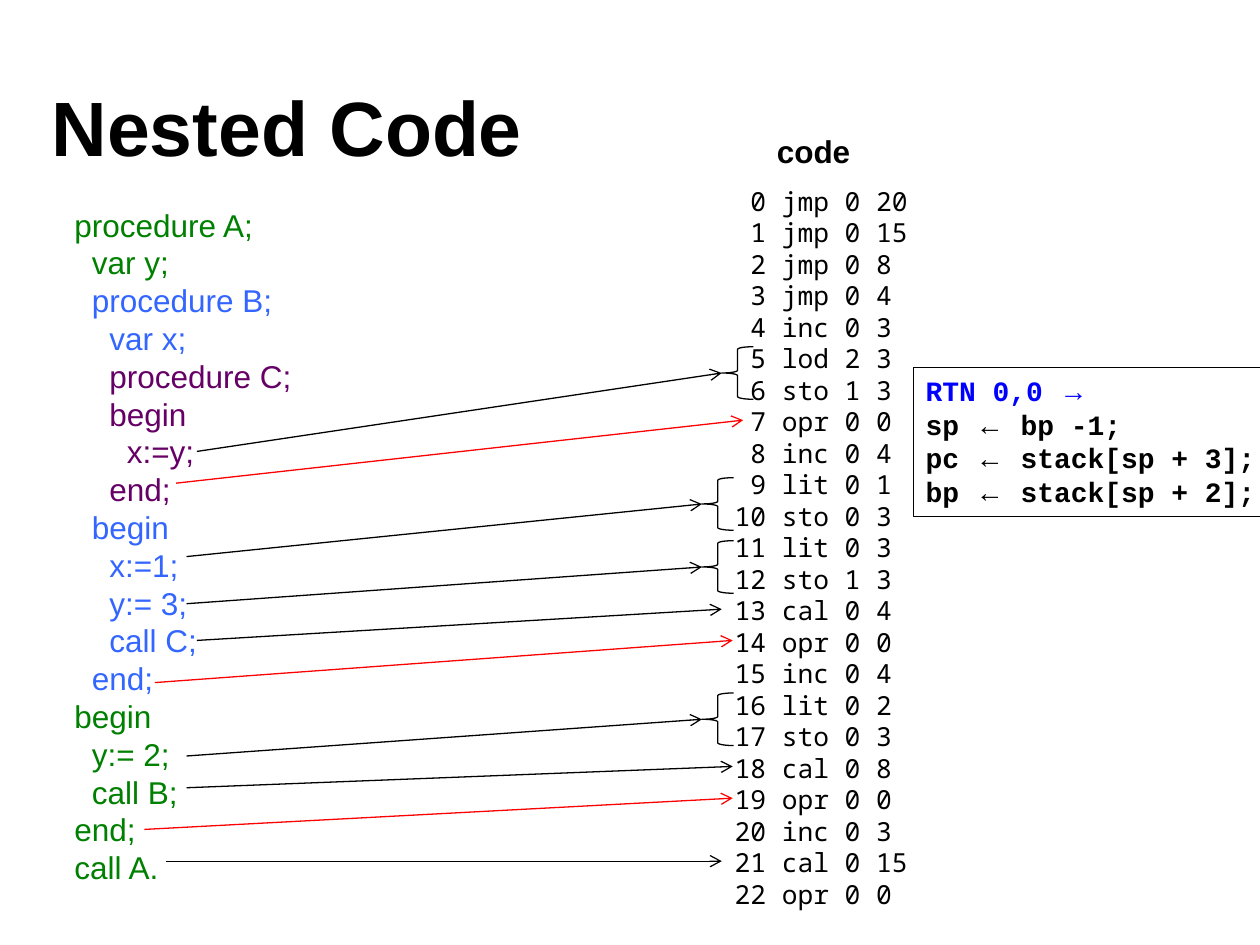
from dataclasses import dataclass
from typing import Optional

from lxml.etree import SubElement
from pptx import Presentation
from pptx.dml.color import RGBColor
from pptx.enum.shapes import MSO_CONNECTOR, MSO_SHAPE
from pptx.enum.text import MSO_ANCHOR, PP_ALIGN
from pptx.oxml.ns import qn
from pptx.util import Cm, Pt

BLACK, RED, BLUE = "000000", "FF0000", "0000FF"
OUTER, MIDDLE, INNER = "008000", "3366FF", "660066"
SANS, MONO, COURIER = "Arial", "Noto Sans Mono", "Courier New"
LINE_WIDTH = Pt(0.75)
LEADING = 1.2
INDENT = Pt(10)
BRACE_WIDTH, BRACE_HEIGHT = 0.64, 1.06


@dataclass
class Run:
    text: str
    color: str = BLACK
    font: Optional[str] = None


@dataclass
class Line:
    runs: list[Run]
    level: int = 0


@dataclass
class Link:
    """Arrow from a source statement to its instructions, in cm."""
    start: tuple[float, float]
    end: tuple[float, float]
    color: str = BLACK
    braced: bool = False


def rgb(value: str) -> RGBColor:
    return RGBColor.from_string(value)


def write(shape, lines: list[Line], *, size: float, font: str = SANS,
          bold: bool = False) -> None:
    frame = shape.text_frame
    frame.word_wrap = True
    frame.vertical_anchor = MSO_ANCHOR.TOP
    for number, line in enumerate(lines):
        paragraph = frame.add_paragraph() if number else frame.paragraphs[0]
        paragraph.alignment = PP_ALIGN.LEFT
        paragraph.line_spacing = Pt(size * LEADING)
        if line.level:
            paragraph._p.get_or_add_pPr().set("marL", str(line.level * INDENT))
        for part in line.runs:
            run = paragraph.add_run()
            run.text = part.text
            run.font.name = part.font or font
            run.font.size = Pt(size)
            run.font.bold = bold
            run.font.color.rgb = rgb(part.color)


def add_text(shapes, box: tuple[float, float, float, float],
             lines: list[Line], **style) -> None:
    write(shapes.add_textbox(*map(Cm, box)), lines, **style)


def add_outline(shapes, kind: MSO_SHAPE, box: tuple[float, float, float, float]):
    shape = shapes.add_shape(kind, *map(Cm, box))
    shape.shadow.inherit = False
    shape.fill.background()
    shape.line.color.rgb = rgb(BLACK)
    shape.line.width = LINE_WIDTH
    return shape


def add_link(shapes, link: Link) -> None:
    arrow = shapes.add_connector(MSO_CONNECTOR.STRAIGHT,
                                 *map(Cm, link.start + link.end))
    arrow.line.color.rgb = rgb(link.color)
    arrow.line.width = LINE_WIDTH
    SubElement(arrow.line._get_or_add_ln(), qn("a:tailEnd"), type="arrow")
    SubElement(arrow._element.spPr, qn("a:effectLst"))
    if link.braced:
        x, y = link.end
        brace = add_outline(shapes, MSO_SHAPE.LEFT_BRACE,
                            (x, y - BRACE_HEIGHT / 2, BRACE_WIDTH, BRACE_HEIGHT))
        arrow.end_connect(brace, 1)


# Source program: nesting level, statement, colour of its procedure
PROGRAM = [
    (0, "procedure A;", OUTER), (1, "var y;", OUTER),
    (1, "procedure B;", MIDDLE), (2, "var x;", MIDDLE),
    (2, "procedure C;", INNER), (2, "begin", INNER),
    (3, "x:=y;", INNER), (2, "end;", INNER),
    (1, "begin", MIDDLE), (2, "x:=1;", MIDDLE), (2, "y:= 3;", MIDDLE),
    (2, "call C;", MIDDLE), (1, "end;", MIDDLE),
    (0, "begin", OUTER), (1, "y:= 2;", OUTER), (1, "call B;", OUTER),
    (0, "end;", OUTER), (0, "call A.", OUTER),
]

# Generated instructions, numbered from 0
INSTRUCTIONS = [
    "jmp 0 20", "jmp 0 15", "jmp 0 8", "jmp 0 4", "inc 0 3", "lod 2 3",
    "sto 1 3", "opr 0 0", "inc 0 4", "lit 0 1", "sto 0 3", "lit 0 3",
    "sto 1 3", "cal 0 4", "opr 0 0", "inc 0 4", "lit 0 2", "sto 0 3",
    "cal 0 8", "opr 0 0", "inc 0 3", "cal 0 15", "opr 0 0",
]

LINKS = [
    Link((3.97, 9.1), (14.55, 7.52), braced=True),
    Link((3.55, 9.74), (14.98, 8.47), RED),
    Link((3.76, 11.22), (14.15, 10.16), braced=True),
    Link((3.76, 12.17), (14.15, 11.43), braced=True),
    Link((3.97, 12.91), (14.55, 12.28)),
    Link((3.12, 13.76), (14.77, 12.91), RED),
    Link((3.76, 15.24), (14.15, 14.5), braced=True),
    Link((3.76, 15.88), (14.77, 15.45)),
    Link((2.91, 16.72), (14.77, 16.09), RED),
    Link((3.34, 17.36), (14.55, 17.36)),
]

# Register updates made by the return instruction
ASSIGNMENTS = [("sp ", " bp -1;"), ("pc ", " stack[sp + 3];"),
               ("bp ", " stack[sp + 2];")]


def main() -> None:
    deck = Presentation()
    deck.slide_width, deck.slide_height = Cm(25.4), Cm(19.05)
    shapes = deck.slides.add_slide(deck.slide_layouts[6]).shapes

    # Headings
    add_text(shapes, (0.79, 1.47, 10.95, 2.13), [Line([Run("Nested Code")])],
             size=44, bold=True)
    add_text(shapes, (15.41, 2.54, 2.2, 1.02), [Line([Run("code")])],
             size=18, bold=True)

    # Program and its code
    add_text(shapes, (1.25, 4.02, 4.88, 13.97),
             [Line([Run(text, color)], level) for level, text, color in PROGRAM],
             size=18)
    add_text(shapes, (14.56, 3.61, 5.92, 15.65),
             [Line([Run(f"{number:>2} {instruction}")])
              for number, instruction in enumerate(INSTRUCTIONS)],
             size=15, font=MONO)

    # Arrows and braces
    for link in LINKS:
        add_link(shapes, link)

    # Meaning of the return instruction
    meaning = [Line([Run("RTN 0,0 ", BLUE), Run("→", BLUE, SANS)])]
    meaning += [Line([Run(target), Run("←", font=SANS), Run(value)])
                for target, value in ASSIGNMENTS]
    write(add_outline(shapes, MSO_SHAPE.RECTANGLE, (18.41, 7.41, 8.05, 3)),
          meaning, size=16, font=COURIER, bold=True)

    deck.save("out.pptx")


if __name__ == "__main__":
    main()
